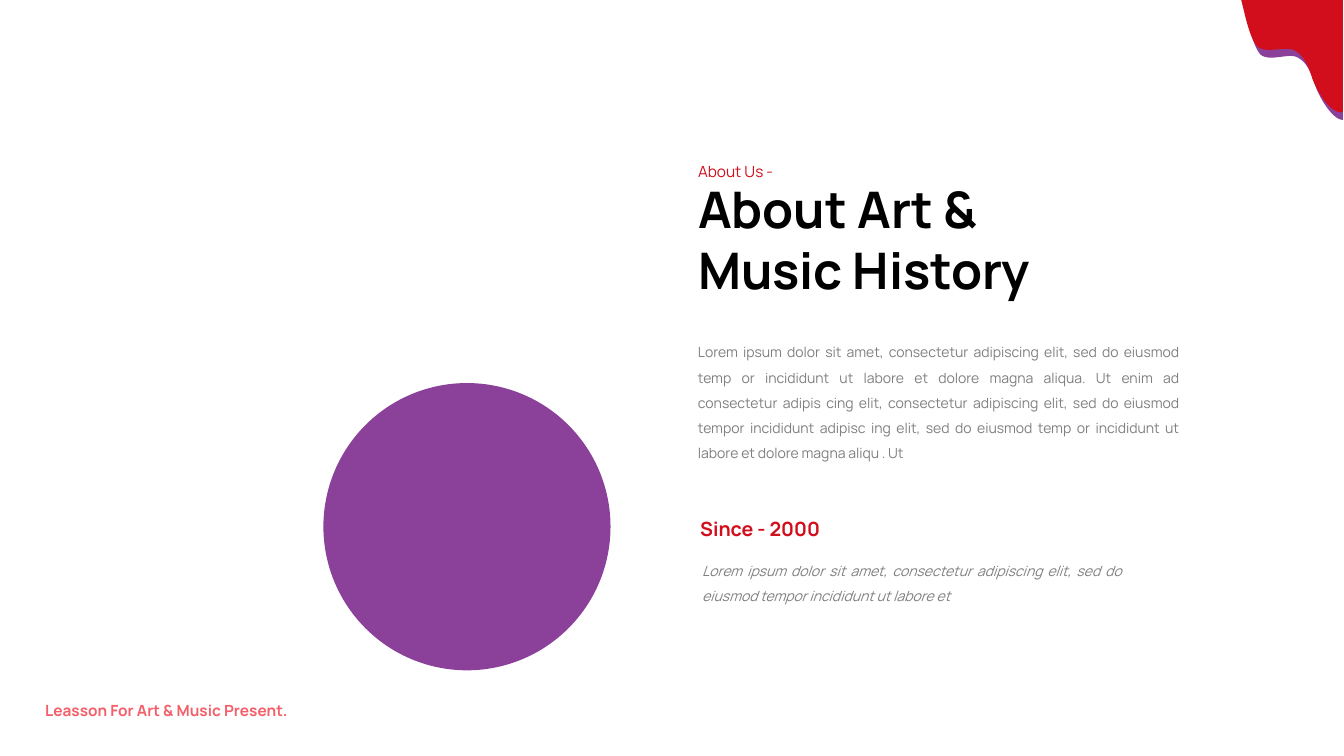
from pptx import Presentation
from pptx.dml.color import RGBColor
from pptx.enum.shapes import MSO_SHAPE
from pptx.enum.text import MSO_AUTO_SIZE, PP_ALIGN
from pptx.util import Pt

PX = 9144  # EMU per px, 100 px to the inch
OVAL = MSO_SHAPE.OVAL
JUSTIFY, LEFT = PP_ALIGN.JUSTIFY, PP_ALIGN.LEFT
GROW = MSO_AUTO_SIZE.SHAPE_TO_FIT_TEXT
CURVE_STEPS = 16

THEME = {
    "font": "Manrope",
    "purple": "8B409A", "red": "D20E1C", "pink": "F45E69",
    "black": "000000", "grey": "7F7F7F",
    "title": 36, "since": 14, "label": 11, "body": 10,
}

prs = Presentation()
prs.slide_width, prs.slide_height = 1334 * PX, 750 * PX
slide = prs.slides.add_slide(prs.slide_layouts[6])


def paint(shape, color):
    shape.shadow.inherit = False
    shape.fill.solid()
    shape.fill.fore_color.rgb = RGBColor.from_string(THEME[color])
    shape.line.fill.background()


def curve_points(start, c1, c2, end):
    """Points along a cubic Bezier curve, in EMU."""
    for step in range(1, CURVE_STEPS + 1):
        t = step / CURVE_STEPS
        u = 1 - t
        yield tuple(
            PX * (u**3 * a + 3 * u * u * t * b + 3 * u * t * t * c + t**3 * d)
            for a, b, c, d in zip(start, c1, c2, end))


# Purple circle
paint(slide.shapes.add_shape(OVAL, 321 * PX, 380 * PX, 285 * PX, 285 * PX), "purple")

# Paint drip in the top right corner: colour, top edge, start, curves
drips = [
    ("purple", 8, (1235, 8), [
        ((1238, 18), (1243, 45), (1251, 54)),
        ((1260, 62), (1279, 52), (1288, 57)),
        ((1297, 62), (1301, 71), (1305, 83)),
        ((1308, 94), (1322, 119), (1333, 119)),
    ]),
    ("red", 0, (1232, 0), [
        ((1235, 11), (1240, 38), (1248, 46)),
        ((1257, 54), (1276, 45), (1285, 50)),
        ((1294, 55), (1298, 64), (1302, 76)),
        ((1305, 87), (1321, 115), (1333, 111)),
    ]),
]
for color, top, start, curves in drips:
    builder = slide.shapes.build_freeform(1333 * PX, top * PX, scale=1.0)
    outline = [(start[0] * PX, start[1] * PX)]
    for c1, c2, end in curves:
        outline.extend(curve_points(start, c1, c2, end))
        start = end
    builder.add_line_segments(outline, close=True)
    paint(builder.convert_to_shape(), color)

# Texts: wording, box, insets (x, y), size, colour, bold, italic, align, spacing
INSET = (10, 5)
texts = [
    ("Leasson For Art & Music Present.", (35, 681, 375, 38), INSET,
     "label", "pink", True, False, JUSTIFY, 1.5),
    ("About Art & Music History", (683, 172, 352, 190), INSET,
     "title", "black", True, False, LEFT, 1.0),
    ("About Us -", (683, 147, 168, 38), INSET,
     "label", "red", False, False, JUSTIFY, 1.5),
    ("Lorem ipsum dolor sit amet, consectetur adipiscing elit, sed do eiusmod "
     "temp or incididunt ut labore et dolore magna aliqua. Ut enim ad "
     "consectetur adipis cing elit, consectetur adipiscing elit, sed do eiusmod "
     "tempor incididunt adipisc ing elit, sed do eiusmod temp or incididunt ut "
     "labore et dolore magna aliqu . Ut", (683, 328, 497, 135), INSET,
     "body", "grey", False, False, JUSTIFY, 1.5),
    ("Lorem ipsum dolor sit amet, consectetur adipiscing elit, sed do "
     "eiusmod tempor incididunt ut labore et", (687, 545, 436, 60), INSET,
     "body", "grey", False, True, JUSTIFY, 1.5),
    ("Since - 2000", (695, 513, 293, 23), (0, 0),
     "since", "red", True, False, LEFT, 1.0),
]
for text, box, inset, size, color, bold, italic, align, spacing in texts:
    tf = slide.shapes.add_textbox(*(v * PX for v in box)).text_frame
    tf.word_wrap = True
    tf.auto_size = GROW
    tf.margin_left = tf.margin_right = inset[0] * PX
    tf.margin_top = tf.margin_bottom = inset[1] * PX
    tf.text = text
    p = tf.paragraphs[0]
    p.alignment = align
    p.line_spacing = spacing
    font = p.runs[0].font
    font.name = THEME["font"]
    font.size = Pt(THEME[size])
    font.bold, font.italic = bold, italic
    font.color.rgb = RGBColor.from_string(THEME[color])

prs.save("out.pptx")
